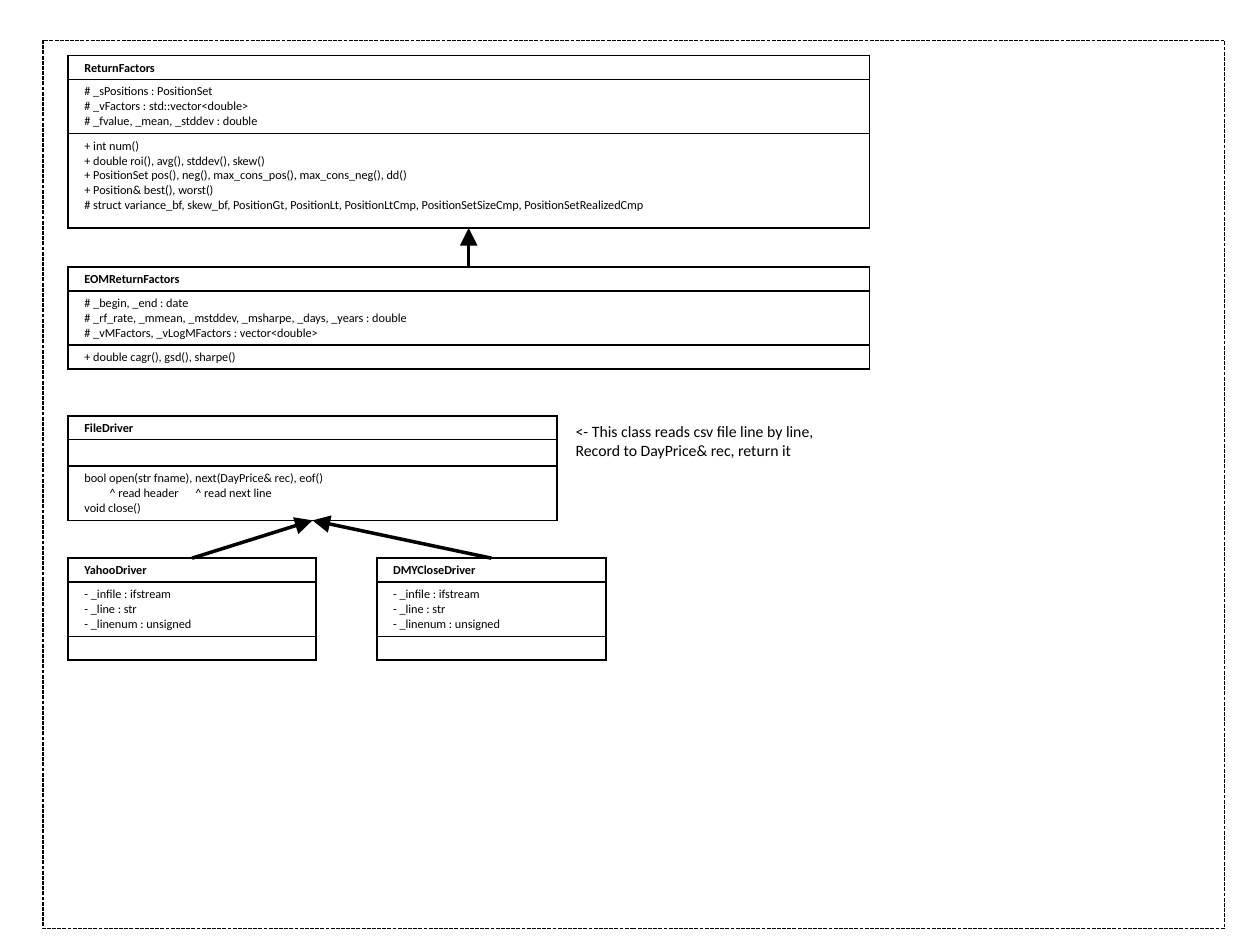
import pptx
import pptx.util
import pptx.dml.color
import pptx.enum.dml
import pptx.enum.shapes
import pptx.oxml.ns
import lxml.etree

Inches, Pt = pptx.util.Inches, pptx.util.Pt
RGBColor = pptx.dml.color.RGBColor
qn = pptx.oxml.ns.qn

THEME = {
    "ink": "000000", "font": "Calibri", "class_size": 7, "note_size": 9,
    "border": 1, "frame": 0.75, "arrow": 2,
    "insets": {"left": 0.13, "right": 0.13, "top": 0.04, "bottom": 0.03},
}
FRAME = (0.34, 0.32, 9.38, 7.05)
TAB_STOPS = (0.2, 0.88)
FILE_FIELDS = ["- _infile : ifstream", "- _line : str", "- _linenum : unsigned"]

CLASSES = {
    "ReturnFactors": {
        "at": (0.54, 0.44), "width": 6.36, "rows": (0.19, 0.43, 0.75),
        "fields": ["# _sPositions : PositionSet",
                   "# _vFactors : std::vector<double>",
                   "# _fvalue, _mean, _stddev : double"],
        "methods": ["+ int num()",
                    "+ double roi(), avg(), stddev(), skew()",
                    "+ PositionSet pos(), neg(), max_cons_pos(), max_cons_neg(), dd()",
                    "+ Position& best(), worst()",
                    "# struct variance_bf, skew_bf, PositionGt, PositionLt, PositionLtCmp, "
                    "PositionSetSizeCmp, PositionSetRealizedCmp"],
    },
    "EOMReturnFactors": {
        "at": (0.54, 2.12), "width": 6.36, "rows": (0.19, 0.43, 0.19),
        "fields": ["# _begin, _end : date",
                   "# _rf_rate, _mmean, _mstddev, _msharpe, _days, _years : double",
                   "# _vMFactors, _vLogMFactors : vector<double>"],
        "methods": ["+ double cagr(), gsd(), sharpe()"],
    },
    "FileDriver": {
        "at": (0.54, 3.3), "width": 3.88, "rows": (0.19, 0.21, 0.43),
        "fields": [],
        "methods": ["bool open(str fname), next(DayPrice& rec), eof()",
                    "\t^ read header\t^ read next line",
                    "void close()"],
    },
    "YahooDriver": {
        "at": (0.54, 4.43), "width": 1.97, "rows": (0.19, 0.43, 0.19),
        "fields": FILE_FIELDS, "methods": [],
    },
    "DMYCloseDriver": {
        "at": (2.99, 4.43), "width": 1.82, "rows": (0.19, 0.43, 0.19),
        "fields": FILE_FIELDS, "methods": [],
    },
}
INHERITS = [("EOMReturnFactors", "ReturnFactors"),
            ("YahooDriver", "FileDriver"),
            ("DMYCloseDriver", "FileDriver")]
NOTE = ["<- This class reads csv file line by line,",
        "Record to DayPrice& rec, return it"]


def ink():
    return RGBColor.from_string(THEME["ink"])


def add_xml(parent, tag, **attributes):
    return lxml.etree.SubElement(parent, qn(tag), attributes)


def write_lines(tf, lines, size, bold=False):
    tf.text = "\n".join(lines)
    for p in tf.paragraphs:
        if "\t" in p.text:
            stops = add_xml(p._p.get_or_add_pPr(), "a:tabLst")
            for stop in TAB_STOPS:
                add_xml(stops, "a:tab", pos=str(Inches(stop)), algn="l")
        for r in p.runs:
            r.font.name, r.font.size, r.font.bold = THEME["font"], Pt(size), bold
            r.font.color.rgb = ink()
        if not p.runs:
            add_xml(p._p, "a:endParaRPr", sz=str(size * 100))


def border_cell(cell):
    tcPr = cell._tc.get_or_add_tcPr()
    for side in "LRTB":
        line = add_xml(tcPr, f"a:ln{side}", w=str(Pt(THEME["border"])))
        add_xml(add_xml(line, "a:solidFill"), "a:srgbClr", val=THEME["ink"])
    cell.fill.background()


def add_class(s, name, box):
    left, top = box["at"]
    shape = s.shapes.add_table(3, 1, Inches(left), Inches(top),
                               Inches(box["width"]), Inches(sum(box["rows"])))
    table = shape.table
    table.first_row = table.horz_banding = False
    for i, lines in enumerate(([name], box["fields"], box["methods"])):
        table.rows[i].height = Inches(box["rows"][i])
        cell = table.cell(i, 0)
        for side, inset in THEME["insets"].items():
            setattr(cell, f"margin_{side}", Inches(inset))
        write_lines(cell.text_frame, lines, THEME["class_size"], bold=i == 0)
        border_cell(cell)


def add_inheritance(s, child, parent):
    def middle(box):
        return box["at"][0] + box["width"] / 2

    ends = (middle(child), child["at"][1],
            middle(parent), parent["at"][1] + sum(parent["rows"]))
    arrow = s.shapes.add_connector(pptx.enum.shapes.MSO_CONNECTOR.STRAIGHT,
                                   *map(Inches, ends))
    arrow.line.color.rgb = ink()
    arrow.line.width = Pt(THEME["arrow"])
    add_xml(arrow.line._get_or_add_ln(), "a:tailEnd", type="triangle", w="lg", len="lg")
    add_xml(arrow._element.spPr, "a:effectLst")


def main():
    """Build the class diagram slide and save it."""
    prs = pptx.Presentation()
    prs.slide_width, prs.slide_height = Inches(10), Inches(7.5)
    s = prs.slides.add_slide(prs.slide_layouts[6])

    frame = s.shapes.add_shape(pptx.enum.shapes.MSO_SHAPE.RECTANGLE, *map(Inches, FRAME))
    frame.shadow.inherit = False
    frame.fill.background()
    frame.line.color.rgb = ink()
    frame.line.width = Pt(THEME["frame"])
    frame.line.dash_style = pptx.enum.dml.MSO_LINE.SQUARE_DOT

    for name, box in CLASSES.items():
        add_class(s, name, box)
    for child, parent in INHERITS:
        add_inheritance(s, CLASSES[child], CLASSES[parent])

    driver = CLASSES["FileDriver"]
    left = driver["at"][0] + driver["width"] + 0.05
    note = s.shapes.add_textbox(Inches(left), Inches(driver["at"][1]),
                                Inches(2.11), Inches(0.4))
    note.text_frame.word_wrap = False
    write_lines(note.text_frame, NOTE, THEME["note_size"])
    prs.save("out.pptx")


if __name__ == "__main__":
    main()
